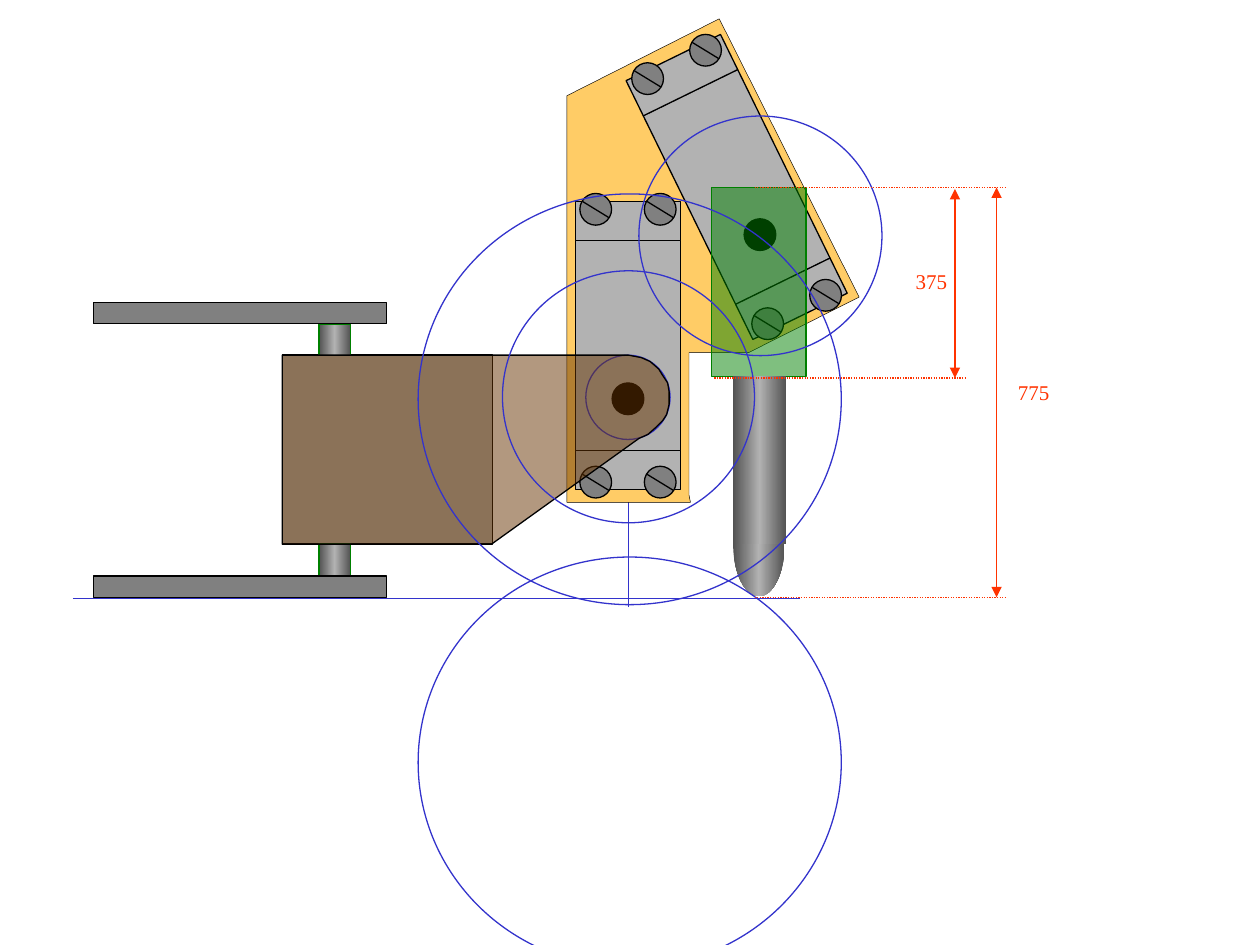
from copy import deepcopy
from math import cos, radians, sin

from lxml.etree import SubElement
from pptx import Presentation
from pptx.dml.color import RGBColor
from pptx.enum.dml import MSO_LINE
from pptx.enum.shapes import MSO_CONNECTOR, MSO_SHAPE
from pptx.enum.text import MSO_AUTO_SIZE
from pptx.oxml.ns import qn
from pptx.util import Cm, Pt

RECT, OVAL = MSO_SHAPE.RECTANGLE, MSO_SHAPE.OVAL
BLACK, GREY, STEEL, DARK = "000000", "808080", "B2B2B2", "525252"
BLUE, GREEN, RED = "3333CC", "008000", "FF3300"
ORANGE, BROWN = "FFCC66", "663300"

PLATE = [(13.92, 10.13), (11.43, 10.13), (11.43, 1.93), (14.5, 0.38),
         (17.32, 5.99), (15.09, 7.11), (13.89, 7.11), (13.89, 9.98)]
ARM = [(5.69, 7.16), (12.67, 7.16), (12.93, 7.21), (13.11, 7.29),
       (13.28, 7.44), (13.36, 7.57), (13.46, 7.72), (13.49, 7.9),
       (13.49, 8.15), (13.44, 8.36), (13.36, 8.48), (13.23, 8.61),
       (13.06, 8.76), (12.88, 8.84), (9.91, 10.97), (5.69, 10.97)]


def rgb(code):
    return RGBColor.from_string(code)


def shade(fill):
    """Round metal: dark at both edges, light in the middle."""
    fill.gradient()
    fill.gradient_angle = 0
    stops = fill._xPr.find(qn("a:gradFill")).find(qn("a:gsLst"))
    mid = deepcopy(stops[0])
    mid.set("pos", "50000")
    stops.insert(1, mid)
    for stop, code in zip(fill.gradient_stops, (DARK, STEEL, DARK)):
        stop.color.rgb = rgb(code)


def style(shape, fill=None, line=None, width=0.75, alpha=None, metal=False):
    shape.shadow.inherit = False
    if metal:
        shade(shape.fill)
    elif fill:
        shape.fill.solid()
        shape.fill.fore_color.rgb = rgb(fill)
    else:
        shape.fill.background()
    if alpha:
        tint = shape._element.spPr.find(qn("a:solidFill"))[0]
        SubElement(tint, qn("a:alpha")).set("val", str(alpha * 1000))
    if line:
        shape.line.color.rgb = rgb(line)
        shape.line.width = Pt(width)
    else:
        shape.line.fill.background()


def form(slide, kind, x, y, w, h, turn=0, **look):
    shape = slide.shapes.add_shape(kind, Cm(x), Cm(y), Cm(w), Cm(h))
    shape.rotation = turn
    style(shape, **look)


def centred(slide, kind, x, y, w, h, **look):
    form(slide, kind, x - w / 2, y - h / 2, w, h, **look)


def outline(slide, points, **look):
    first, *rest = [(Cm(x), Cm(y)) for x, y in points]
    build = slide.shapes.build_freeform(*first, scale=1.0)
    build.add_line_segments(rest, close=True)
    style(build.convert_to_shape(), **look)


def rule(slide, x1, y1, x2, y2, color, dots=False, heads=False):
    line = slide.shapes.add_connector(
        MSO_CONNECTOR.STRAIGHT, Cm(x1), Cm(y1), Cm(x2), Cm(y2))
    line.line.color.rgb = rgb(color)
    line.line.width = Pt(0.75)
    if dots:
        line.line.dash_style = MSO_LINE.ROUND_DOT
    if heads:
        for end in ("a:headEnd", "a:tailEnd"):
            SubElement(line.line._get_or_add_ln(), qn(end)).set("type", "triangle")
    SubElement(line._element.spPr, qn("a:effectLst"))


def label(slide, text, x, y, size=12, font="Times New Roman", color=RED):
    box = slide.shapes.add_textbox(Cm(x), Cm(y), Cm(1.14), Cm(0.76))
    frame = box.text_frame
    frame.word_wrap = False
    frame.auto_size = MSO_AUTO_SIZE.SHAPE_TO_FIT_TEXT
    run = frame.paragraphs[0].add_run()
    run.text = text
    run.font.size = Pt(size)
    run.font.name = font
    run.font.color.rgb = rgb(color)


def screw(slide, x, y):
    centred(slide, OVAL, x, y, 0.64, 0.64, fill=GREY, line=BLACK)
    rule(slide, x - 0.27, y - 0.16, x + 0.27, y + 0.17, BLACK)


def servo(slide, x, y, turn):
    """Motor with its long axis turned about the centre x, y."""
    c, s = cos(radians(turn)), sin(radians(turn))

    def spot(along, across=0):
        return x + along * c - across * s, y + along * s + across * c

    steel = dict(turn=turn, fill=STEEL, line=BLACK)
    centred(slide, RECT, x, y, 4.24, 2.12, **steel)
    centred(slide, OVAL, *spot(1.07), 0.64, 0.64, fill=BLACK, line=BLACK)
    for side in (1, -1):
        centred(slide, RECT, *spot(2.51 * side), 0.79, 2.12, **steel)
        for across in (0.65, -0.65):
            screw(slide, *spot(2.75 * side, across))


def mount(slide):
    rule(slide, 12.67, 12.24, 12.67, 8, BLUE)
    form(slide, RECT, 5.69, 7.16, 4.24, 3.81, fill=STEEL, line=BLACK)
    for y in (6.53, 10.97):
        form(slide, RECT, 6.43, y, 0.64, 0.64, metal=True, line=GREEN)
    for y in (6.1, 11.61):
        form(slide, RECT, 1.88, y, 5.92, 0.43, fill=GREY, line=BLACK)
    rule(slide, 1.47, 12.07, 16.13, 12.07, BLUE)


def tool(slide):
    form(slide, RECT, 14.35, 3.78, 1.9, 3.81, fill=GREEN, alpha=50, line=GREEN)
    form(slide, OVAL, 14.78, 9.91, 1.04, 2.11, metal=True)
    form(slide, RECT, 14.78, 7.59, 1.07, 3.38, metal=True)


def gears(slide):
    for x, y, w, h in ((12.88, 2.34, 4.9, 4.83), (10.13, 5.46, 5.08, 5.08),
                       (8.43, 3.91, 8.53, 8.28), (8.43, 11.23, 8.53, 8.28)):
        form(slide, OVAL, x, y, w, h, line=BLUE)


def sizes(slide):
    for x, y in ((15.21, 12.04), (15.21, 3.78), (14.4, 7.62)):
        rule(slide, x, y, x + 5.08, y, RED, dots=True)
    rule(slide, 20.09, 3.78, 20.09, 12.04, RED, heads=True)
    label(slide, "775", 20.27, 7.52)
    rule(slide, 19.25, 3.81, 19.25, 7.62, RED, heads=True)
    label(slide, "375", 18.21, 5.28)


def main():
    deck = Presentation()
    deck.slide_width, deck.slide_height = Cm(25.4), Cm(19.05)
    slide = deck.slides.add_slide(deck.slide_layouts[6])
    # Fixed mount and ground line
    mount(slide)
    # Carrier plate with two servos and the pinion
    outline(slide, PLATE, fill=ORANGE, line=BLACK, width=0.25)
    servo(slide, 12.66, 6.97, 90)
    servo(slide, 14.85, 3.77, 63.9)
    form(slide, OVAL, 11.81, 7.16, 1.7, 1.7, line=BLUE)
    # Swing arm, tool and gear circles
    outline(slide, ARM, fill=BROWN, alpha=50, line=BLACK)
    tool(slide)
    gears(slide)
    # Dimensions
    sizes(slide)
    deck.save("out.pptx")


if __name__ == "__main__":
    main()
